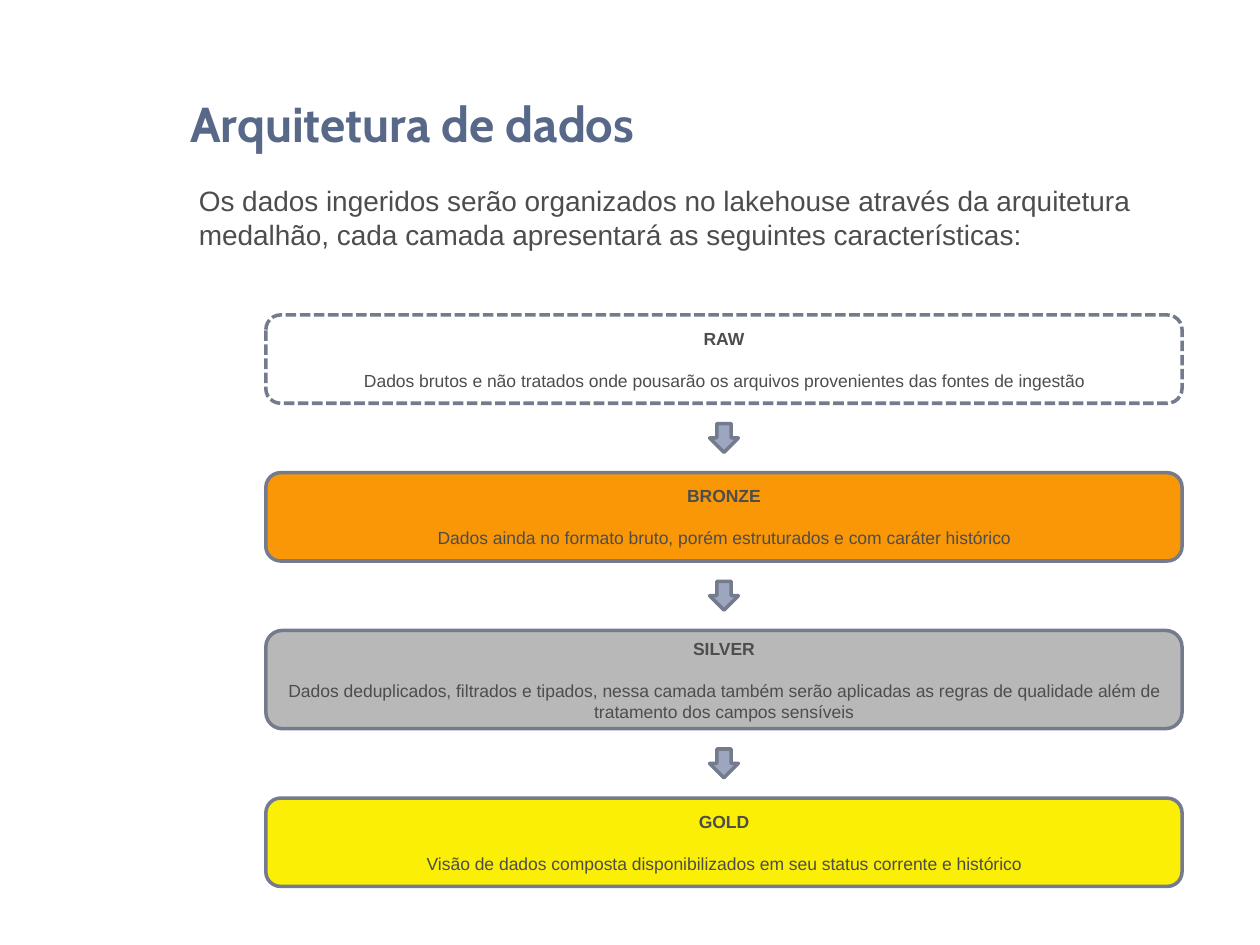
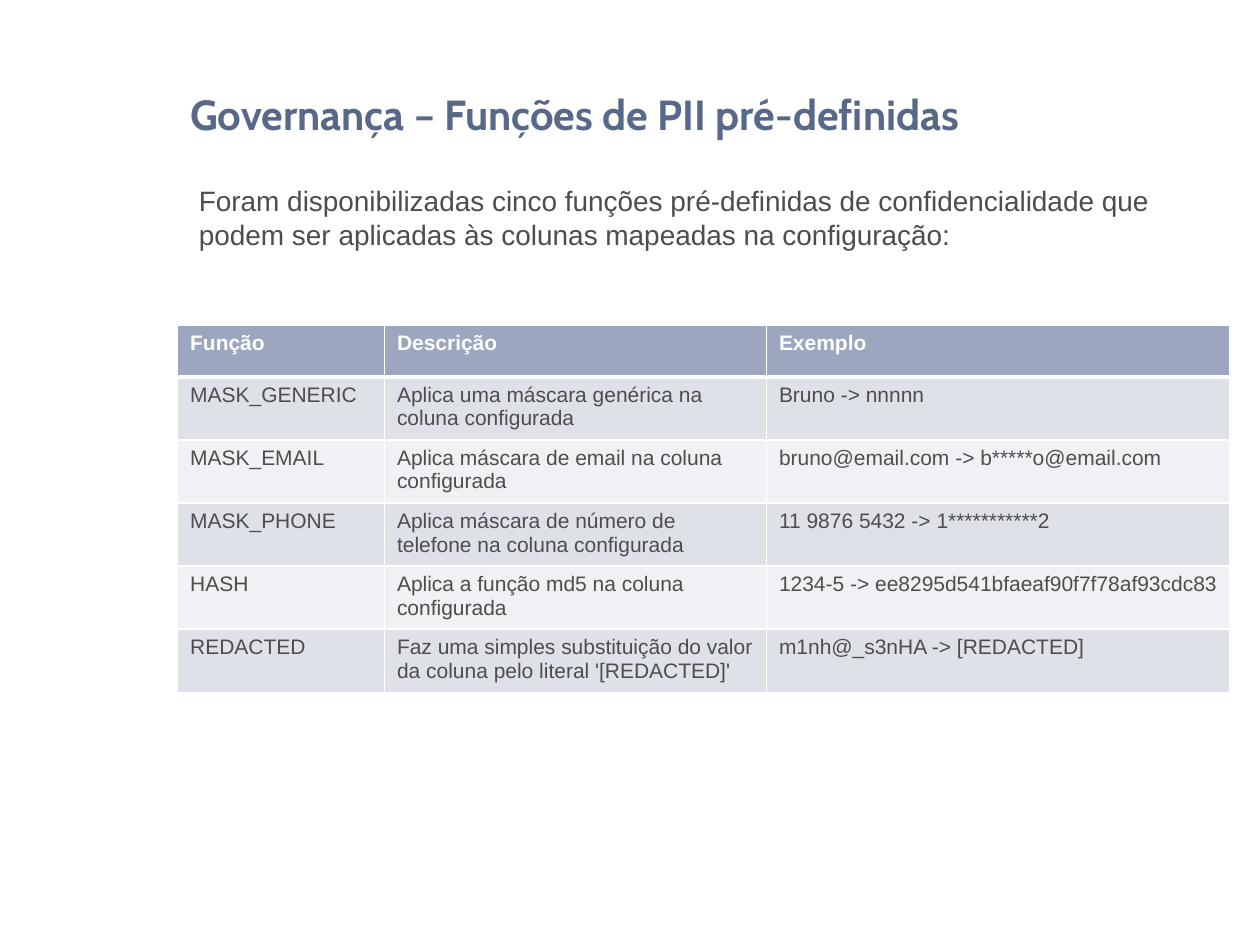
import pptx
import pptx.dml.color
import pptx.enum.dml
import pptx.enum.shapes
import pptx.enum.text
import pptx.oxml
import pptx.oxml.ns
import pptx.util

Cm, Pt = pptx.util.Cm, pptx.util.Pt
SHAPE = pptx.enum.shapes.MSO_SHAPE
ALIGN = pptx.enum.text.PP_ALIGN
FIT = pptx.enum.text.MSO_AUTO_SIZE
MID = pptx.enum.text.MSO_ANCHOR.MIDDLE

HUES = {
    "title": "586888", "text": "4D4D4D", "edge": "737B8D", "head": "9CA6BF",
    "odd": "DEE1E8", "even": "EFF1F4", "white": "FFFFFF",
    "bronze": "F99707", "silver": "B8B8B8", "gold": "FBEF05",
}


def tint(name):
    return pptx.dml.color.RGBColor.from_string(HUES[name])


def write(frame, text, size=16, hue="text", bold=False, font="Arial",
          align=ALIGN.LEFT, gap=0, more=False):
    """Write text in the first paragraph, or in a new one if more is set."""
    para = frame.add_paragraph() if more else frame.paragraphs[0]
    para.alignment = align
    para.space_before = Pt(gap)
    run = para.add_run()
    run.text = text
    run.font.size = Pt(size)
    run.font.name = font
    run.font.bold = bold
    run.font.color.rgb = tint(hue)


deck = pptx.Presentation()
deck.slide_width, deck.slide_height = Cm(25.4), Cm(19.05)

# Title and lead of both slides
pages = [
    ("Arquitetura de dados", 28, 1.78, 16.28, 1.4,
     "Os dados ingeridos serão organizados no lakehouse através da arquitetura "
     "medalhão, cada camada apresentará as seguintes características:", 21.03),
    ("Governança – Funções de PII pré-definidas", 24, 1.4, 21, 1.8,
     "Foram disponibilizadas cinco funções pré-definidas de confidencialidade que "
     "podem ser aplicadas às colunas mapeadas na configuração:", 20.83),
]
for head, size, top, wide, high, lead, span in pages:
    slide = deck.slides.add_slide(deck.slide_layouts[5])
    title = slide.shapes.title
    title.left, title.top = Cm(3.58), Cm(top)
    title.width, title.height = Cm(wide), Cm(high)
    frame = title.text_frame
    frame.auto_size = FIT.NONE
    frame.vertical_anchor = MID
    write(frame, head, size=size, hue="title", bold=True, font="Cabin")

    box = slide.shapes.add_textbox(Cm(3.76), Cm(3.58), Cm(span), Cm(1.63))
    box.text_frame.word_wrap = True
    box.text_frame.auto_size = FIT.SHAPE_TO_FIT_TEXT
    write(box.text_frame, lead)

flow, rules = deck.slides

# Layers from raw to gold, with an arrow in each gap
layers = [
    ("RAW", "white", 1.78, "Dados brutos e não tratados onde pousarão os arquivos "
     "provenientes das fontes de ingestão"),
    ("BRONZE", "bronze", 1.78, "Dados ainda no formato bruto, porém estruturados e "
     "com caráter histórico"),
    ("SILVER", "silver", 1.98, "Dados deduplicados, filtrados e tipados, nessa camada "
     "também serão aplicadas as regras de qualidade além de tratamento dos campos "
     "sensíveis"),
    ("GOLD", "gold", 1.78, "Visão de dados composta disponibilizados em seu status "
     "corrente e histórico"),
]
left, wide, gap, side = 5.36, 18.47, 1.4, 0.58


def block(kind, x, y, w, h, hue):
    shape = flow.shapes.add_shape(kind, Cm(x), Cm(y), Cm(w), Cm(h))
    shape.shadow.inherit = False
    shape.fill.solid()
    shape.fill.fore_color.rgb = tint(hue)
    shape.line.color.rgb = tint("edge")
    shape.line.width = Pt(2)
    return shape


top = 6.35
for name, hue, high, text in layers:
    if name != "RAW":
        block(SHAPE.DOWN_ARROW, left + (wide - side) / 2,
              top - (gap + side) / 2, side, side, "head")
    layer = block(SHAPE.ROUNDED_RECTANGLE, left, top, wide, high, hue)
    if name == "RAW":
        layer.line.dash_style = pptx.enum.dml.MSO_LINE.SQUARE_DOT
    frame = layer.text_frame
    frame.word_wrap = True
    frame.vertical_anchor = MID
    write(frame, name, size=10, bold=True, align=ALIGN.CENTER)
    write(frame, text, size=10, align=ALIGN.CENTER, gap=12, more=True)
    top += high + gap

# Table of masking functions
rows = [
    ("Função", "Descrição", "Exemplo"),
    ("MASK_GENERIC", "Aplica uma máscara genérica na coluna configurada",
     "Bruno -> nnnnn"),
    ("MASK_EMAIL", "Aplica máscara de email na coluna configurada",
     "bruno@email.com -> b*****o@email.com"),
    ("MASK_PHONE", "Aplica máscara de número de telefone na coluna configurada",
     "11 9876 5432 -> 1***********2"),
    ("HASH", "Aplica a função md5 na coluna configurada",
     "1234-5 -> ee8295d541bfaeaf90f7f78af93cdc83"),
    ("REDACTED", "Faz uma simples substituição do valor da coluna pelo literal "
     "'[REDACTED]'", "m1nh@_s3nHA -> [REDACTED]"),
]
cols = [4.17, 7.7, 9.35]
grid = rules.shapes.add_table(len(rows), len(cols), Cm(3.58), Cm(6.56),
                              Cm(sum(cols)), Cm(7.39)).table
for col, wide in zip(grid.columns, cols):
    col.width = Cm(wide)
for r, row in enumerate(rows):
    grid.rows[r].height = Cm(1.27 if r else 1.04)
    hue = "head" if r == 0 else "odd" if r % 2 else "even"
    for c, text in enumerate(row):
        cell = grid.cell(r, c)
        write(cell.text_frame, text, size=12, bold=r == 0,
              hue="text" if r else "white")
        # Borders go before the fill; the header rule is thicker
        props = cell._tc.get_or_add_tcPr()
        for edge in ("lnL", "lnR", "lnT", "lnB"):
            thick = 3 if (r, edge) in ((0, "lnB"), (1, "lnT")) else 1
            props.append(pptx.oxml.parse_xml(
                f'<a:{edge} {pptx.oxml.ns.nsdecls("a")} w="{Pt(thick)}"><a:solidFill>'
                f'<a:srgbClr val="{HUES["white"]}"/></a:solidFill></a:{edge}>'))
        cell.fill.solid()
        cell.fill.fore_color.rgb = tint(hue)

deck.save("out.pptx")
